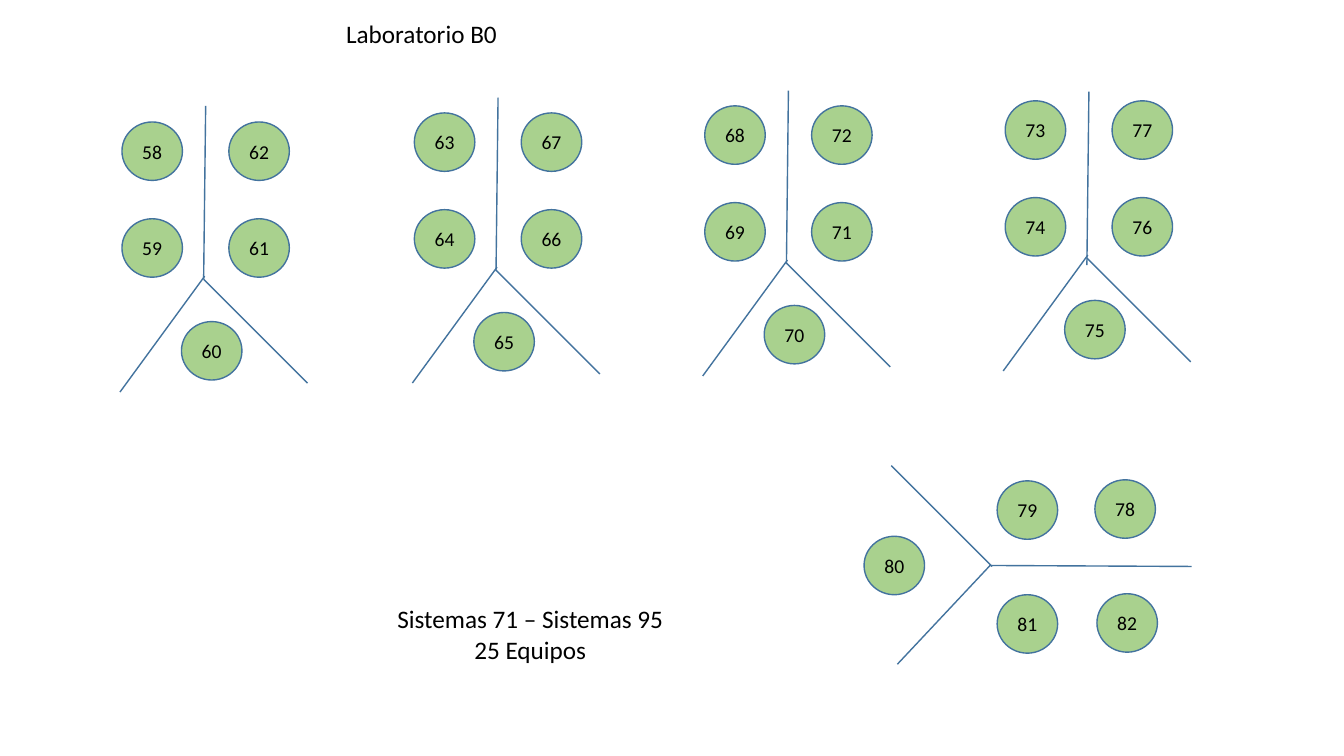
from lxml import etree
from pptx import Presentation
from pptx.dml.color import RGBColor
from pptx.enum.shapes import MSO_CONNECTOR, MSO_SHAPE
from pptx.enum.text import MSO_ANCHOR, MSO_AUTO_SIZE, PP_ALIGN
from pptx.oxml.ns import qn
from pptx.util import Inches, Pt

STRAIGHT = MSO_CONNECTOR.STRAIGHT
ELLIPSE = MSO_SHAPE.OVAL
TOP, MIDDLE = MSO_ANCHOR.TOP, MSO_ANCHOR.MIDDLE
GROW = MSO_AUTO_SIZE.SHAPE_TO_FIT_TEXT
CENTER = PP_ALIGN.CENTER

COLORS = {"seat": "A9D18E", "line": "43739E", "text": "000000"}
FONT = "Calibri"
SEAT_WIDTH, SEAT_HEIGHT = 0.6, 0.58

# Upright desks: left and top of the first seat, top of the spine, first number
DESKS = [
    (1.21, 1.21, 1.05, 58),
    (4.11, 1.12, 0.97, 63),
    (6.99, 1.05, 0.90, 68),
    (9.97, 1.00, 0.91, 73),
]
# Offsets from the first seat, shared by all upright desks
SEAT_OFFSETS = [(0, 0), (0, 0.96), (0.59, 1.98), (1.06, 0.96), (1.06, 0)]
LEG_OFFSETS = [((-0.02, 2.68), (0.82, 1.53)), ((1.84, 2.59), (0.81, 1.56))]
SPINE_OFFSET, SPINE_LEAN, SPINE_LENGTH = 0.81, 0.02, 1.72

# Desk lying on its side
SIDE_LINES = [
    ((9.81, 5.61), (11.82, 5.62)),
    ((8.84, 4.62), (9.84, 5.62)),
    ((8.90, 6.59), (9.82, 5.61)),
]
SIDE_SEATS = [
    (80, 8.57, 5.32),
    (79, 9.89, 4.77),
    (78, 10.86, 4.76),
    (81, 9.89, 5.90),
    (82, 10.88, 5.89),
]


def color(name):
    return RGBColor.from_string(COLORS[name])


def write_text(frame, text, size=18, anchor=TOP, align=CENTER):
    frame.word_wrap = True
    frame.vertical_anchor = anchor
    frame.text = text
    for para in frame.paragraphs:
        para.alignment = align
        para.line_spacing = 1.0
        para.space_before = Pt(0)
        for span in para.runs:
            span.font.name = FONT
            span.font.size = Pt(size)
            span.font.color.rgb = color("text")


class LabPlan:
    def __init__(self, deck):
        self.page = deck.slides.add_slide(deck.slide_layouts[5])
        self.shapes = self.page.shapes

    def title(self, text, left, top, width, height):
        box = self.shapes.title
        box.left, box.top = Inches(left), Inches(top)
        box.width, box.height = Inches(width), Inches(height)
        write_text(box.text_frame, text)
        box.text_frame.auto_size = GROW

    def label(self, text, left, top, width, height):
        box = self.shapes.add_textbox(
            Inches(left), Inches(top), Inches(width), Inches(height))
        write_text(box.text_frame, text)
        box.text_frame.auto_size = GROW

    def line(self, start, end):
        divider = self.shapes.add_connector(
            STRAIGHT, *(Inches(value) for value in (*start, *end)))
        divider.line.color.rgb = color("line")
        divider.line.width = Pt(1)
        etree.SubElement(divider._element.spPr, qn("a:effectLst"))

    def seat(self, number, left, top):
        circle = self.shapes.add_shape(
            ELLIPSE, Inches(left), Inches(top),
            Inches(SEAT_WIDTH), Inches(SEAT_HEIGHT))
        circle.shadow.inherit = False
        circle.fill.solid()
        circle.fill.fore_color.rgb = color("seat")
        circle.line.color.rgb = color("line")
        circle.line.width = Pt(1)
        write_text(circle.text_frame, str(number), size=14, anchor=MIDDLE)

    def upright_desk(self, left, top, spine_top, first):
        spine = left + SPINE_OFFSET
        self.line((spine, spine_top + SPINE_LENGTH),
                  (spine + SPINE_LEAN, spine_top))
        for leg in LEG_OFFSETS:
            self.line(*((left + dx, top + dy) for dx, dy in leg))
        for number, (dx, dy) in enumerate(SEAT_OFFSETS, first):
            self.seat(number, left + dx, top + dy)


def main():
    deck = Presentation()
    deck.slide_width, deck.slide_height = Inches(13.33), Inches(7.5)
    plan = LabPlan(deck)

    # Title
    plan.title("Laboratorio B0", 2.68, 0.13, 3, 0.4)

    # Desk on its side
    for start, end in SIDE_LINES:
        plan.line(start, end)
    for number, left, top in SIDE_SEATS:
        plan.seat(number, left, top)

    # Row of upright desks
    for desk in DESKS:
        plan.upright_desk(*desk)

    # Summary
    plan.label("Sistemas 71 – Sistemas 95\n25 Equipos", 3.76, 5.94, 3, 0.71)

    deck.save("out.pptx")


if __name__ == "__main__":
    main()
